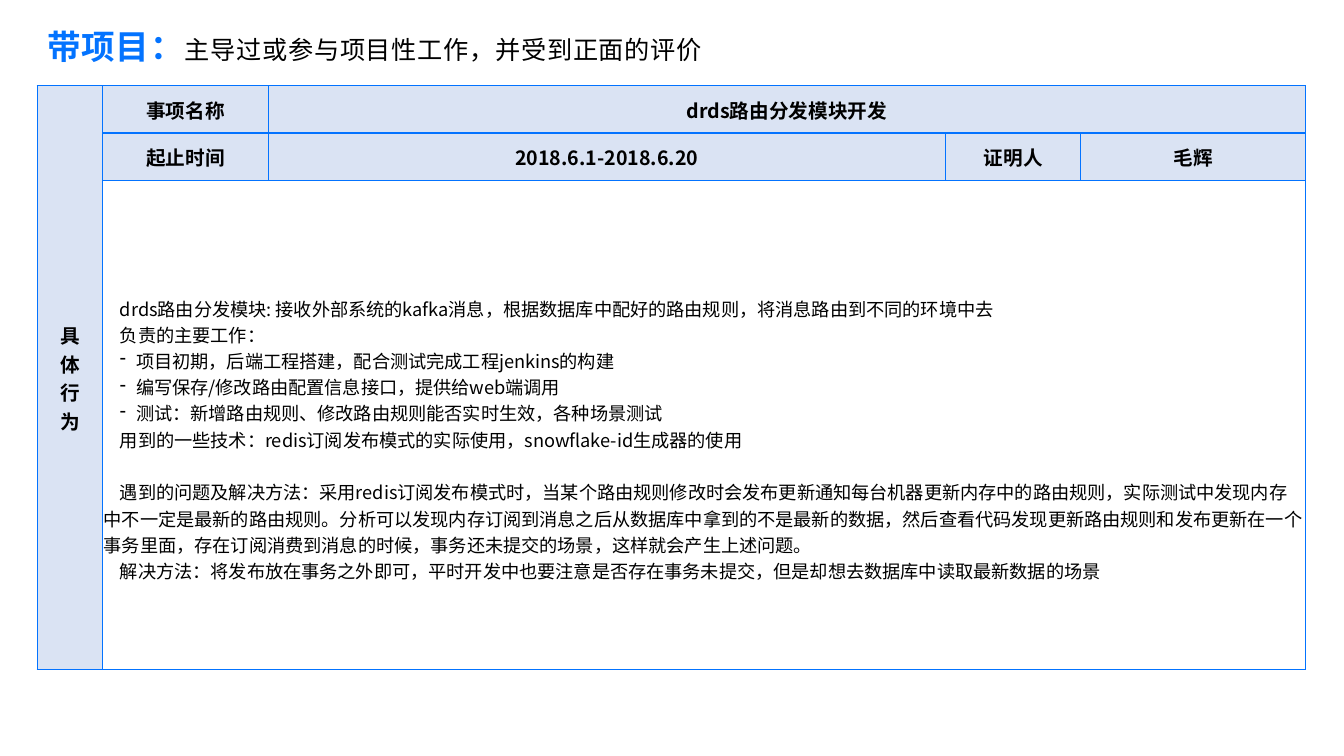
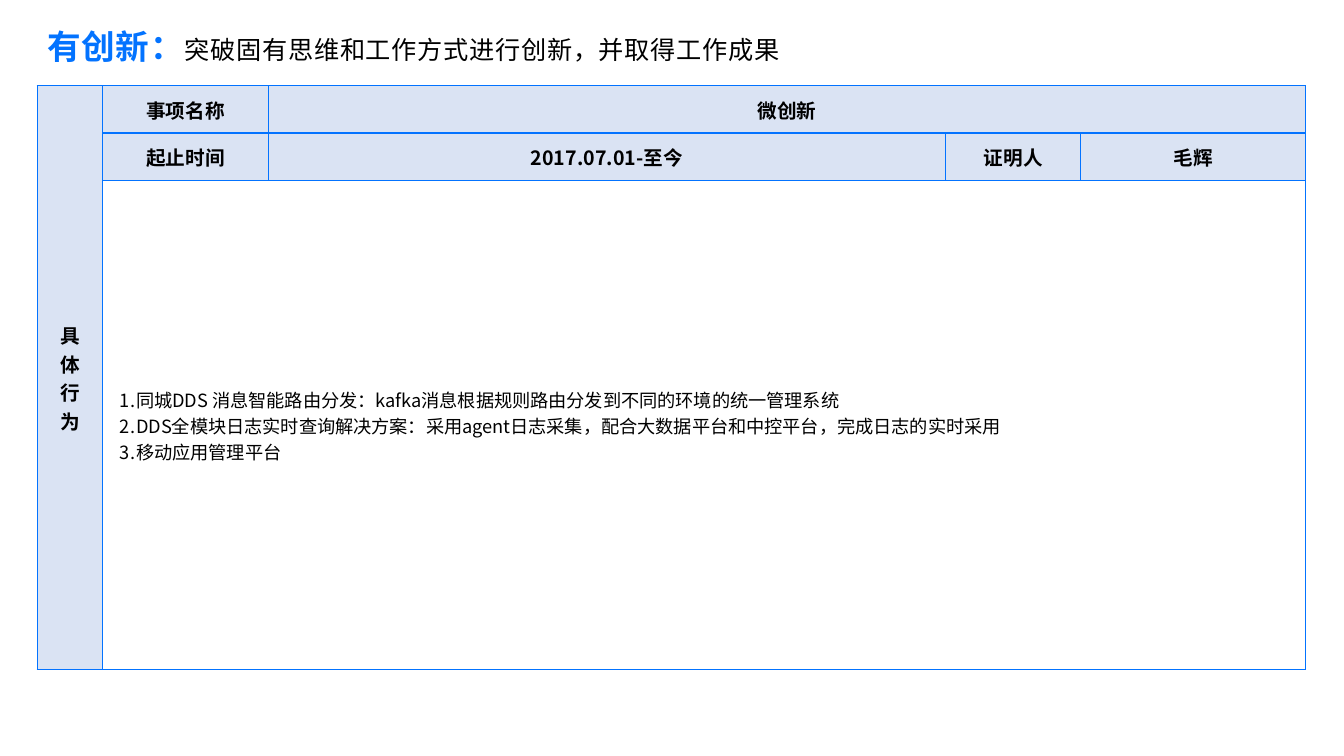
"""Build two slides, each a heading above a work record table."""
from lxml import etree
from pptx import Presentation
from pptx import util as u
from pptx.dml import color
from pptx.enum import text
from pptx.oxml import ns

FONT = "Noto Sans CJK SC"
BLUE, PALE, BLACK = "0373FF", "DAE3F3", "000000"
LEFT, WIDTH = 0.37, 12.57
COLUMNS = (0.65, 1.64, 6.72, 1.34, 2.23)
ROWS = (0.47, 0.47, 4.85)
INDENT = 0.16
LABEL = {"size": u.Pt(14), "bold": True}
BODY = {"size": u.Pt(13), "bold": False}
HEADING = {"size": u.Pt(24), "bold": True}
SUBHEADING = {"size": u.Pt(18), "bold": False}
CENTER, START = text.PP_ALIGN.CENTER, text.PP_ALIGN.LEFT
BULLETS = {"dash": ("a:buChar", {"char": "-"}),
           "number": ("a:buAutoNum", {"type": "arabicPeriod"})}

RECORDS = [
    {
        "heading": "带项目：",
        "subheading": "主导过或参与项目性工作，并受到正面的评价",
        "name": "drds路由分发模块开发",
        "period": "2018.6.1-2018.6.20",
        "witness": "毛辉",
        "body_top": 0.29,
        "body": [
            ("plain", 0, "drds路由分发模块: 接收外部系统的kafka消息，根据数据库中配好的路由规则，将消息路由到不同的环境中去"),
            ("plain", 0, "负责的主要工作："),
            ("dash", 0, "项目初期，后端工程搭建，配合测试完成工程jenkins的构建"),
            ("dash", 0, "编写保存/修改路由配置信息接口，提供给web端调用"),
            ("dash", 0, "测试：新增路由规则、修改路由规则能否实时生效，各种场景测试"),
            ("plain", 0, "用到的一些技术：redis订阅发布模式的实际使用，snowflake-id生成器的使用"),
            ("plain", 19, "遇到的问题及解决方法：采用redis订阅发布模式时，当某个路由规则修改时会发布更新通知每台机器更新内存中的路由规则，"
             "实际测试中发现内存中不一定是最新的路由规则。分析可以发现内存订阅到消息之后从数据库中拿到的不是最新的数据，"
             "然后查看代码发现更新路由规则和发布更新在一个事务里面，存在订阅消费到消息的时候，事务还未提交的场景，这样就会产生上述问题。"),
            ("plain", 0, "解决方法：将发布放在事务之外即可，平时开发中也要注意是否存在事务未提交，但是却想去数据库中读取最新数据的场景"),
        ],
    },
    {
        "heading": "有创新：",
        "subheading": "突破固有思维和工作方式进行创新，并取得工作成果",
        "name": "微创新",
        "period": "2017.07.01-至今",
        "witness": "毛辉",
        "body_top": 0.01,
        "body": [
            ("number", 0, "同城DDS 消息智能路由分发：kafka消息根据规则路由分发到不同的环境的统一管理系统"),
            ("number", 0, "DDS全模块日志实时查询解决方案：采用agent日志采集，配合大数据平台和中控平台，完成日志的实时采用"),
            ("number", 0, "移动应用管理平台"),
        ],
    },
]


def rgb(value):
    """Return the colour for a hex string."""
    return color.RGBColor.from_string(value)


def set_values(target, values):
    """Set every attribute in values on target."""
    for name, value in values.items():
        setattr(target, name, value)


def add_run(paragraph, words, style, hex_color=BLACK):
    """Add a styled run and return it."""
    run = paragraph.add_run()
    run.text = words
    set_values(run.font, {"name": FONT, **style})
    run.font.color.rgb = rgb(hex_color)
    properties = run.font._element
    etree.SubElement(properties, ns.qn("a:ea"), typeface=FONT)
    return run


def indent_paragraph(paragraph, kind):
    """Indent the first line, or hang the text behind a list mark."""
    properties = paragraph._p.get_or_add_pPr()
    listed = kind in BULLETS
    margin, indent = (2 * INDENT, -INDENT) if listed else (0, INDENT)
    properties.set("marL", str(u.Inches(margin)))
    properties.set("indent", str(u.Inches(indent)))
    if listed:
        tag, attributes = BULLETS[kind]
        etree.SubElement(properties, ns.qn(tag), attributes)


def next_paragraph(frame, index):
    """Return the frame's first paragraph or a new one."""
    return frame.add_paragraph() if index else frame.paragraphs[0]


def add_heading(slide, record):
    """Place and fill the slide title."""
    title = slide.shapes.title
    set_values(title, {"left": u.Inches(LEFT), "top": u.Inches(0.22),
                       "width": u.Inches(WIDTH), "height": u.Inches(0.5)})
    frame = title.text_frame
    set_values(frame, {"word_wrap": True, "auto_size": text.MSO_AUTO_SIZE.NONE,
                       "vertical_anchor": text.MSO_ANCHOR.MIDDLE,
                       "margin_top": 0, "margin_bottom": u.Inches(0.02)})
    paragraph = frame.paragraphs[0]
    paragraph.alignment = START
    for key, style, hex_color in (("heading", HEADING, BLUE),
                                  ("subheading", SUBHEADING, BLACK)):
        run = add_run(paragraph, record[key], style, hex_color)
        run.font._element.set("spc", "50")


def format_cell(cell):
    """Give a cell its borders, margins and fill."""
    properties = cell._tc.get_or_add_tcPr()
    for side in "LRTB":
        line = etree.SubElement(properties, ns.qn(f"a:ln{side}"), w=str(u.Pt(1)))
        fill = etree.SubElement(line, ns.qn("a:solidFill"))
        etree.SubElement(fill, ns.qn("a:srgbClr"), val=BLUE)
    edge = u.Inches(0.01)
    set_values(cell, {"margin_left": edge, "margin_right": edge,
                      "margin_top": edge, "margin_bottom": 0,
                      "vertical_anchor": text.MSO_ANCHOR.MIDDLE})
    cell.fill.solid()
    cell.fill.fore_color.rgb = rgb(PALE)


def fill_label(cell, lines):
    """Write centred bold lines into a cell."""
    for index, words in enumerate(lines):
        paragraph = next_paragraph(cell.text_frame, index)
        paragraph.alignment = CENTER
        add_run(paragraph, words, LABEL)


def fill_body(cell, record):
    """Write the account of the work into its cell."""
    cell.fill.background()
    cell.margin_top = u.Inches(record["body_top"])
    for index, (kind, before, words) in enumerate(record["body"]):
        paragraph = next_paragraph(cell.text_frame, index)
        indent_paragraph(paragraph, kind)
        set_values(paragraph, {"alignment": START, "space_before": u.Pt(before)})
        add_run(paragraph, words, BODY)


def add_record_table(slide, record):
    """Add the table with the labels and the account."""
    table = slide.shapes.add_table(
        len(ROWS), len(COLUMNS), u.Inches(LEFT), u.Inches(0.85),
        u.Inches(WIDTH), u.Inches(sum(ROWS))).table
    set_values(table, {"first_row": False, "horz_banding": False})
    for column, width in zip(table.columns, COLUMNS):
        column.width = u.Inches(width)
    for row, height in zip(table.rows, ROWS):
        row.height = u.Inches(height)
    for cell in table.iter_cells():
        format_cell(cell)
    for first, last in (((0, 0), (2, 0)), ((0, 2), (0, 4)), ((2, 1), (2, 4))):
        table.cell(*first).merge(table.cell(*last))
    labels = {(0, 0): "具体行为", (0, 1): ["事项名称"], (0, 2): [record["name"]],
              (1, 1): ["起止时间"], (1, 2): [record["period"]],
              (1, 3): ["证明人"], (1, 4): [record["witness"]]}
    for place, lines in labels.items():
        fill_label(table.cell(*place), lines)
    fill_body(table.cell(2, 1), record)


def main():
    """Build and save the presentation."""
    presentation = Presentation()
    set_values(presentation, {"slide_width": u.Inches(13.33),
                              "slide_height": u.Inches(7.5)})
    for record in RECORDS:
        slide = presentation.slides.add_slide(presentation.slide_layouts[5])
        add_heading(slide, record)
        add_record_table(slide, record)
    presentation.save("out.pptx")


if __name__ == "__main__":
    main()
